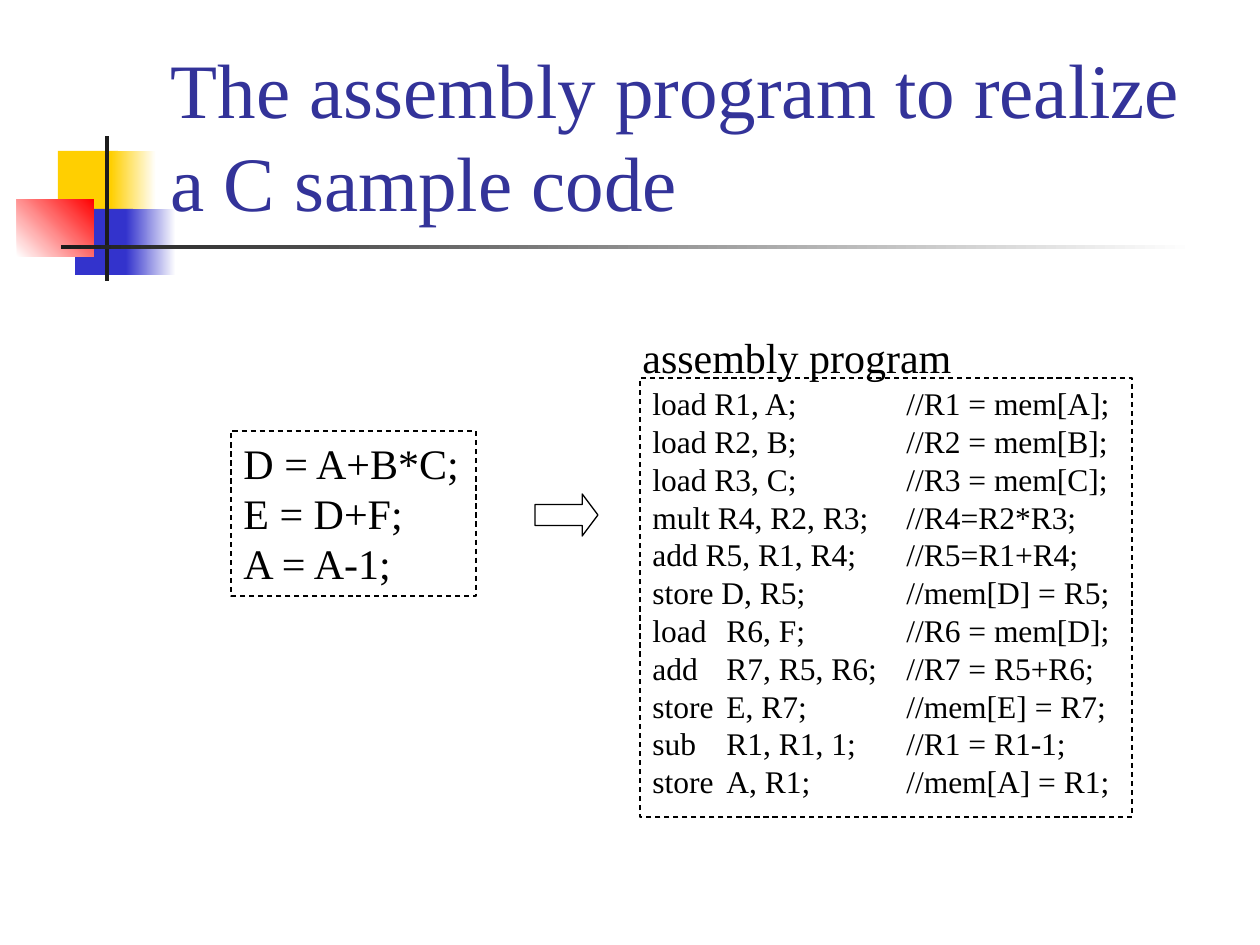
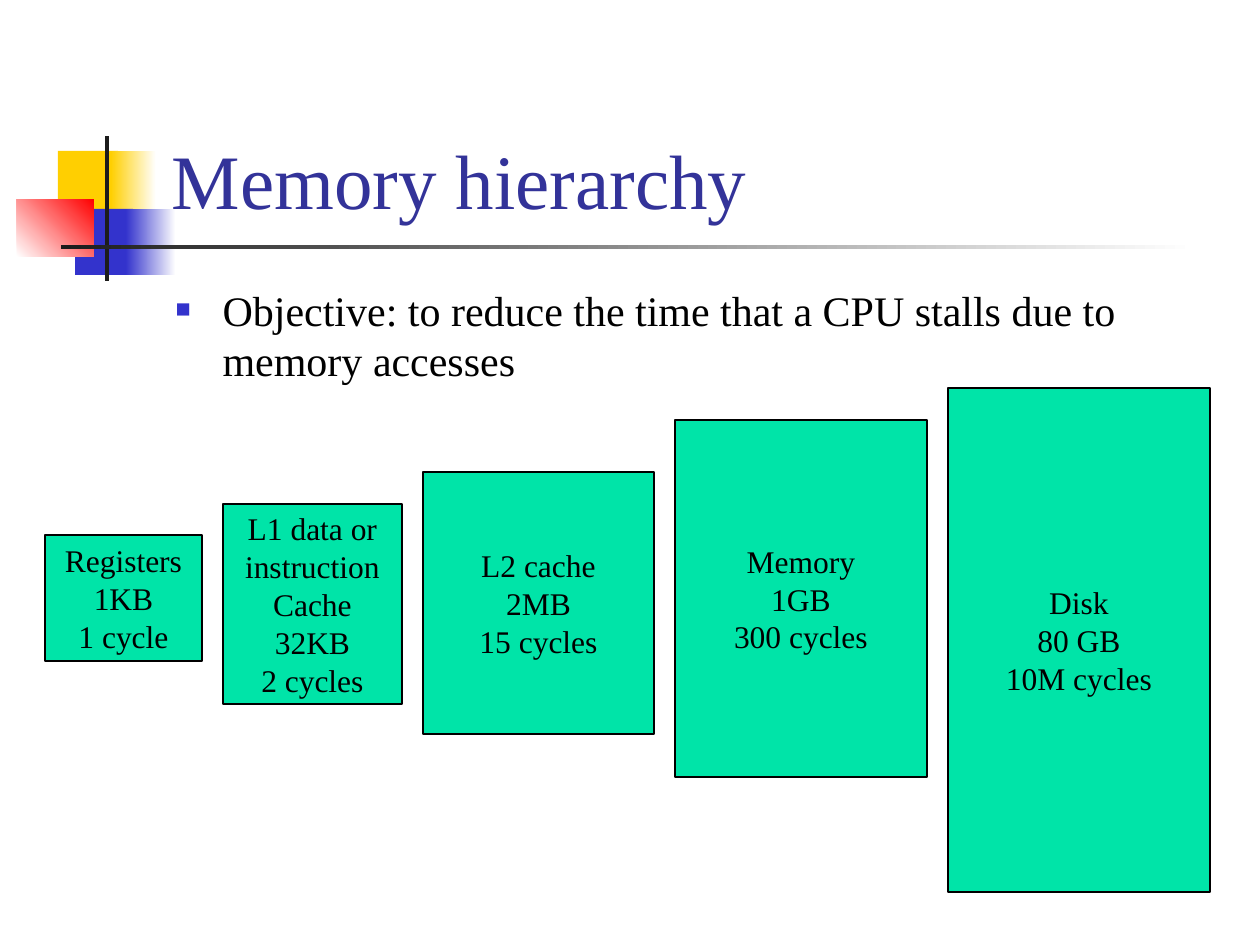
from lxml import etree
from pptx import Presentation, util as u
from pptx.dml import color
from pptx.enum import dml, shapes, text
from pptx.oxml import ns

DPI = 126
FONT = "Times New Roman"
BLACK, WHITE, DARK = "000000", "FFFFFF", "1C1C1C"
GOLD, BLUE, RED = "FFCF01", "3333CC", "FF0000"
NAVY, GREEN = "333399", "00E4A8"
KIND = shapes.MSO_SHAPE

BANDS = [
    ((58, 151, 60, 66), [GOLD], 0),
    ((111, 151, 45, 66), [GOLD, WHITE], 0),
    ((75, 209, 58, 66), [BLUE], 0),
    ((126, 209, 50, 66), [BLUE, WHITE], 0),
    ((17, 199, 77, 58), [WHITE, RED], 45),
    ((105, 136, 4, 145), [DARK], 0),
    ((61, 245, 1134, 4), [DARK, WHITE], 0),
]

SOURCE = ["D = A+B*C;", "E = D+F;", "A = A-1;"]

CODE = [
    "load R1, A;\t//R1 = mem[A];",
    "load R2, B;\t//R2 = mem[B];",
    "load R3, C;\t//R3 = mem[C];",
    "mult R4, R2, R3;\t//R4=R2*R3;",
    "add R5, R1, R4;\t//R5=R1+R4;",
    "store D, R5;\t//mem[D] = R5;",
    "load\tR6, F;\t//R6 = mem[D];",
    "add\tR7, R5, R6;\t//R7 = R5+R6;",
    "store\tE, R7;\t//mem[E] = R7;",
    "sub\tR1, R1, 1;\t//R1 = R1-1;",
    "store\tA, R1;\t//mem[A] = R1;",
]

LEVELS = [
    (535, 157, 126, ["Registers", "1KB", "1 cycle"]),
    (504, 179, 200, ["L1 data or", "instruction", "Cache", "32KB", "2 cycles"]),
    (472, 231, 262, ["L2 cache", "2MB", "15 cycles"]),
    (420, 252, 357, ["Memory", "1GB", "300 cycles"]),
    (388, 262, 504, ["Disk", "80 GB", "10M cycles"]),
]


def px(n):
    return u.Emu(round(n * 914400 / DPI))


def rgb(code):
    return color.RGBColor.from_string(code)


def put(item, box):
    item.left, item.top, item.width, item.height = map(px, box)


def add(parent, tag, **attrs):
    node = etree.SubElement(parent, ns.qn(tag))
    for key, value in attrs.items():
        node.set(key, str(value))
    return node


def write(item, lines, size, ink=BLACK, align=text.PP_ALIGN.LEFT,
          anchor=text.MSO_ANCHOR.TOP, wrap=True):
    frame = item.text_frame
    frame.text = "\n".join(lines)
    frame.word_wrap = wrap
    frame.auto_size = text.MSO_AUTO_SIZE.NONE
    frame.vertical_anchor = anchor
    for para in frame.paragraphs:
        para.alignment = align
        for run in para.runs:
            run.font.name = FONT
            run.font.size = u.Pt(size)
            run.font.color.rgb = rgb(ink)


def shape(slide, box, kind=KIND.RECTANGLE, fill=None, line=None, dash=False):
    item = slide.shapes.add_shape(kind, *map(px, box))
    item.shadow.inherit = False
    if fill:
        item.fill.solid()
        item.fill.fore_color.rgb = rgb(fill)
    else:
        item.fill.background()
    if line:
        item.line.color.rgb = rgb(line)
        item.line.width = u.Pt(0.75)
        if dash:
            item.line.dash_style = dml.MSO_LINE.DASH
    else:
        item.line.fill.background()
    return item


def fade(item, hues, angle):
    item.fill.gradient()
    item.fill.gradient_angle = angle
    for stop, hue in zip(item.fill.gradient_stops, hues):
        stop.color.rgb = rgb(hue)


def brand(deck, slide):
    tree = deck.slide_master.shapes.element
    for i, (box, hues, angle) in enumerate(BANDS):
        band = shape(slide, box, fill=hues[0])
        if len(hues) > 1:
            fade(band, hues, angle)
        band.element.nvSpPr.cNvPr.set("id", str(100 + i))
        tree.insert(2 + i, band.element)


def title(slide, words, left, top):
    head = slide.shapes.title
    put(head, (left, top, 1074, 202))
    write(head, [words], 44, NAVY, anchor=text.MSO_ANCHOR.BOTTOM)


def bullet(slide, words, box):
    body = slide.placeholders[1]
    put(body, box)
    write(body, [words], 24)
    props = body.text_frame.paragraphs[0]._p.get_or_add_pPr()
    props.set("marL", str(px(47)))
    props.set("indent", str(px(-47)))
    add(add(props, "a:buClr"), "a:srgbClr", val=BLUE)
    add(props, "a:buSzPct", val=60000)
    add(props, "a:buFont", typeface=FONT)
    add(props, "a:buChar", char="■")


def tabs(item, stops):
    for para in item.text_frame.paragraphs:
        row = add(para._p.get_or_add_pPr(), "a:tabLst")
        for stop in stops:
            add(row, "a:tab", pos=px(stop), algn="l")


def label(slide, words, box):
    item = slide.shapes.add_textbox(*map(px, box))
    write(item, [words], 24, wrap=False)


def program(slide):
    title(slide, "The assembly program to realize a C sample code", 158, 31)
    source = shape(slide, (231, 431, 245, 165), line=BLACK, dash=True)
    write(source, SOURCE, 24, wrap=False)
    code = shape(slide, (640, 378, 492, 439), line=BLACK, dash=True)
    write(code, CODE, 18)
    tabs(code, (74, 254))
    label(slide, "assembly program", (630, 325, 334, 63))
    arrow = shape(slide, (535, 494, 63, 42), KIND.RIGHT_ARROW, line=BLACK)
    arrow.adjustments[1] = 0.375


def memory(slide):
    title(slide, "Memory hierarchy", 159, 29)
    bullet(slide, "Objective: to reduce the time that a CPU stalls due to "
           "memory accesses", (163, 278, 1071, 116))
    left, gap = 45, 21
    for top, width, height, lines in LEVELS:
        level = shape(slide, (left, top, width, height), fill=GREEN, line=BLACK)
        write(level, lines, 18, align=text.PP_ALIGN.CENTER,
              anchor=text.MSO_ANCHOR.MIDDLE, wrap=False)
        left += width + gap


def main():
    deck = Presentation()
    deck.slide_width, deck.slide_height = px(1260), px(945)
    first = deck.slides.add_slide(deck.slide_layouts[5])
    brand(deck, first)
    program(first)
    memory(deck.slides.add_slide(deck.slide_layouts[1]))
    deck.save("out.pptx")


if __name__ == "__main__":
    main()
